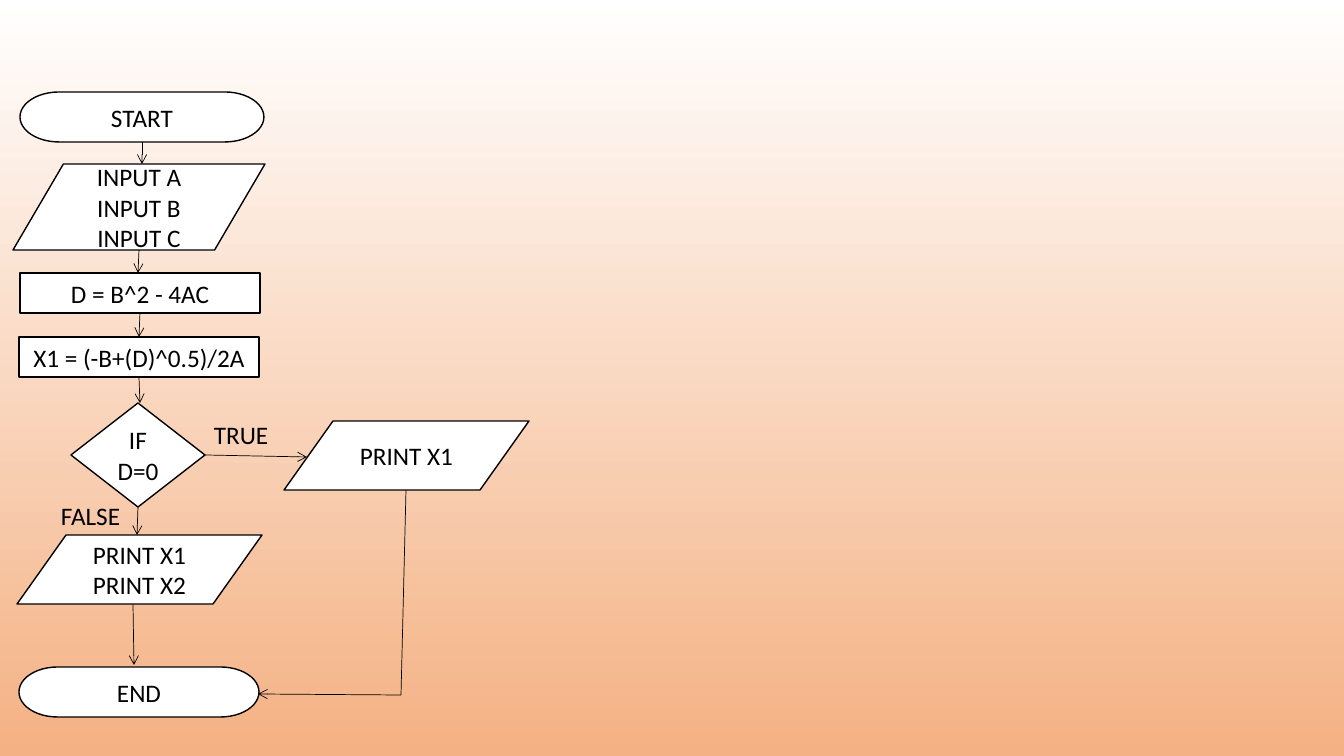
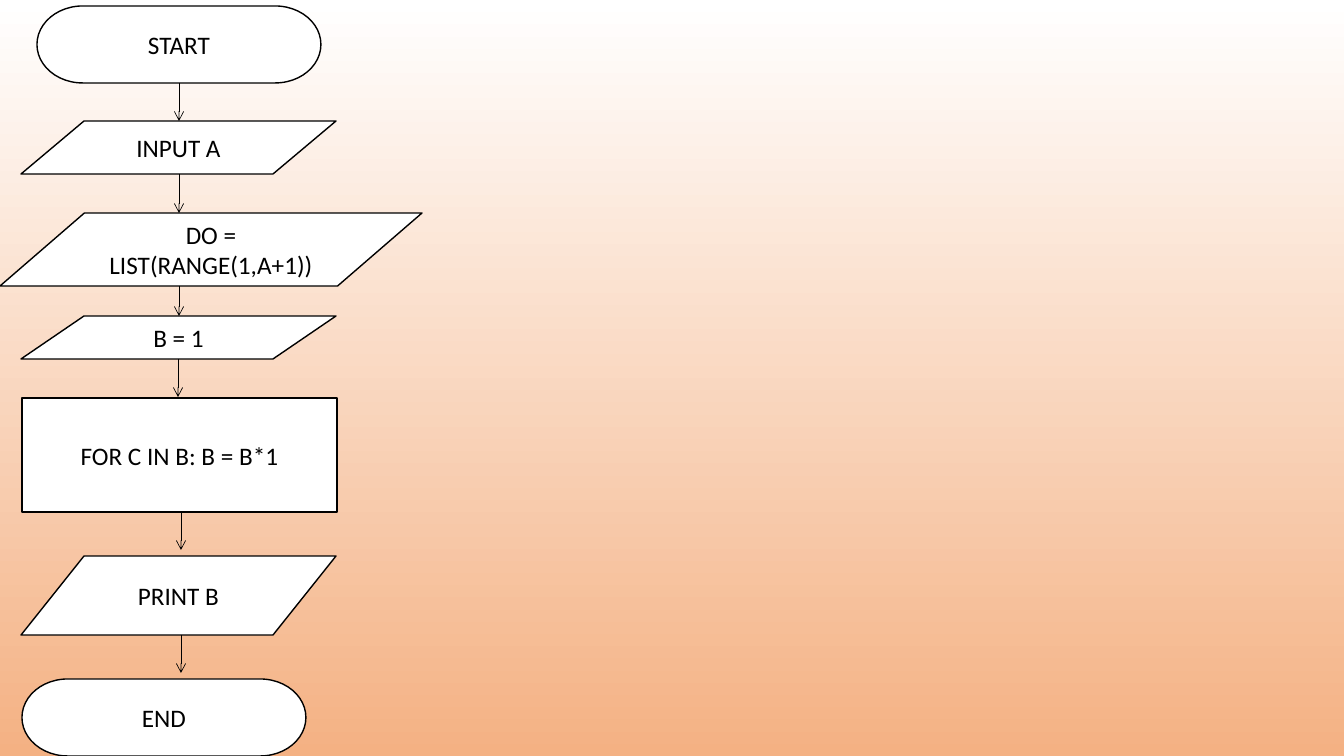
"""Build two flowchart slides: quadratic roots and a product loop."""
from lxml import etree
from pptx import Presentation
from pptx import util as u
from pptx.dml.color import RGBColor
from pptx.enum import shapes, text
from pptx.oxml.ns import qn

PX = 9071
BLACK = RGBColor(0, 0, 0)
WHITE = RGBColor(255, 255, 255)
PEACH = RGBColor(0xF4, 0xB1, 0x83)

FORM = shapes.MSO_SHAPE
END = FORM.FLOWCHART_TERMINATOR
DATA = FORM.FLOWCHART_DATA
STEP = FORM.RECTANGLE
TEST = FORM.FLOWCHART_DECISION

ROOTS = {
    "nodes": [
        (END, 20, 92, 244, 50, "START"),
        (DATA, 13, 164, 252, 86, "INPUT A\nINPUT B\nINPUT C"),
        (STEP, 20, 273, 240, 40, "D = B^2 - 4AC"),
        (STEP, 19, 337, 240, 40, "X1 = (-B+(D)^0.5)/2A"),
        (TEST, 71, 403, 134, 104, "IF\nD=0"),
        (DATA, 284, 421, 245, 69, "PRINT X1"),
        (DATA, 17, 535, 245, 69, "PRINT X1\nPRINT X2"),
        (END, 19, 667, 240, 50, "END"),
    ],
    "arrows": [
        (142, 142, 142, 164),
        (139, 250, 138, 273),
        (140, 313, 139, 337),
        (139, 377, 140, 403),
        (205, 455, 307, 457),
        (138, 507, 137, 535),
        (133, 604, 134, 665),
        (401, 695, 258, 694),
    ],
    "lines": [(406, 490, 401, 695)],
    "labels": [(204, 414, 102, 40, "TRUE"), (51, 495, 91, 40, "FALSE")],
}
LOOP = {
    "nodes": [
        (END, 37, 6, 284, 77, "START"),
        (DATA, 21, 121, 315, 53, "INPUT A"),
        (DATA, 0, 213, 422, 73, "DO = LIST(RANGE(1,A+1))"),
        (DATA, 21, 316, 315, 43, "B = 1"),
        (STEP, 22, 398, 315, 114, "FOR C IN B: B = B*1"),
        (DATA, 21, 556, 315, 79, "PRINT B"),
        (END, 22, 679, 284, 77, "END"),
    ],
    "arrows": [
        (179, 83, 179, 121),
        (179, 174, 179, 213),
        (179, 286, 179, 316),
        (178, 359, 178, 397),
        (181, 512, 181, 550),
        (181, 635, 181, 673),
    ],
    "lines": [],
    "labels": [],
}


def write(box, words, align):
    frame = box.text_frame
    frame.word_wrap = True
    frame.text = words
    for par in frame.paragraphs:
        par.alignment = align
        par.font.name = "Calibri"
        par.font.size = u.Pt(18)
        par.font.color.rgb = BLACK


def link(slide, ends, head):
    wire = slide.shapes.add_connector(
        shapes.MSO_CONNECTOR.STRAIGHT, *[v * PX for v in ends])
    wire.line.color.rgb = BLACK
    wire.line.width = u.Pt(0.5)
    if head:
        etree.SubElement(wire.line._get_or_add_ln(), qn("a:tailEnd"), type="arrow")
    etree.SubElement(wire._element.spPr, qn("a:effectLst"))


deck = Presentation()
deck.slide_width = 1344 * PX
deck.slide_height = 756 * PX

back = deck.slide_master.background.fill
back.gradient()
back.gradient_angle = 270
for stop, tone in zip(back.gradient_stops, (WHITE, PEACH)):
    stop.color.rgb = tone

for chart in (ROOTS, LOOP):
    slide = deck.slides.add_slide(deck.slide_layouts[6])
    for kind, *area, words in chart["nodes"]:
        node = slide.shapes.add_shape(kind, *[v * PX for v in area])
        node.shadow.inherit = False
        node.fill.solid()
        node.fill.fore_color.rgb = WHITE
        node.line.color.rgb = BLACK
        node.line.width = u.Pt(1)
        node.text_frame.vertical_anchor = text.MSO_ANCHOR.MIDDLE
        write(node, words, text.PP_ALIGN.CENTER)
    for ends in chart["arrows"]:
        link(slide, ends, True)
    for ends in chart["lines"]:
        link(slide, ends, False)
    for *area, words in chart["labels"]:
        label = slide.shapes.add_textbox(*[v * PX for v in area])
        write(label, words, text.PP_ALIGN.LEFT)

deck.save("out.pptx")
